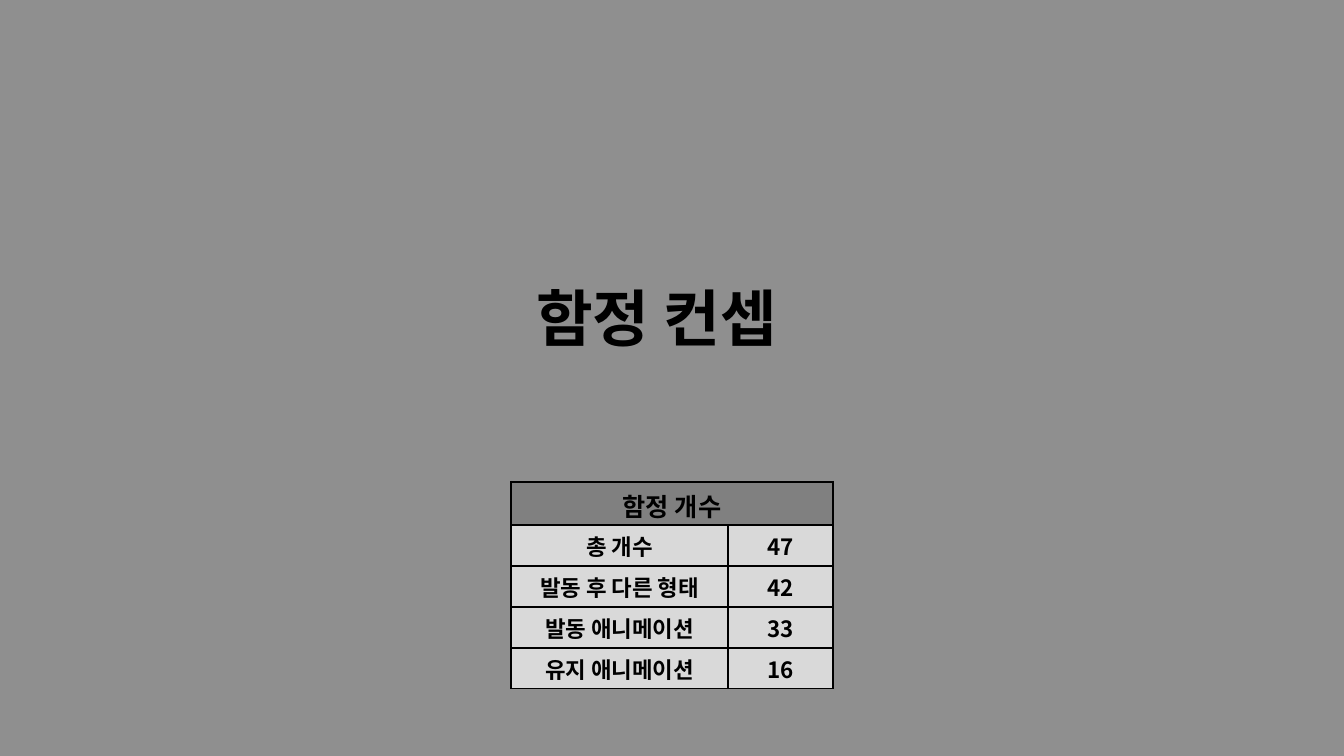
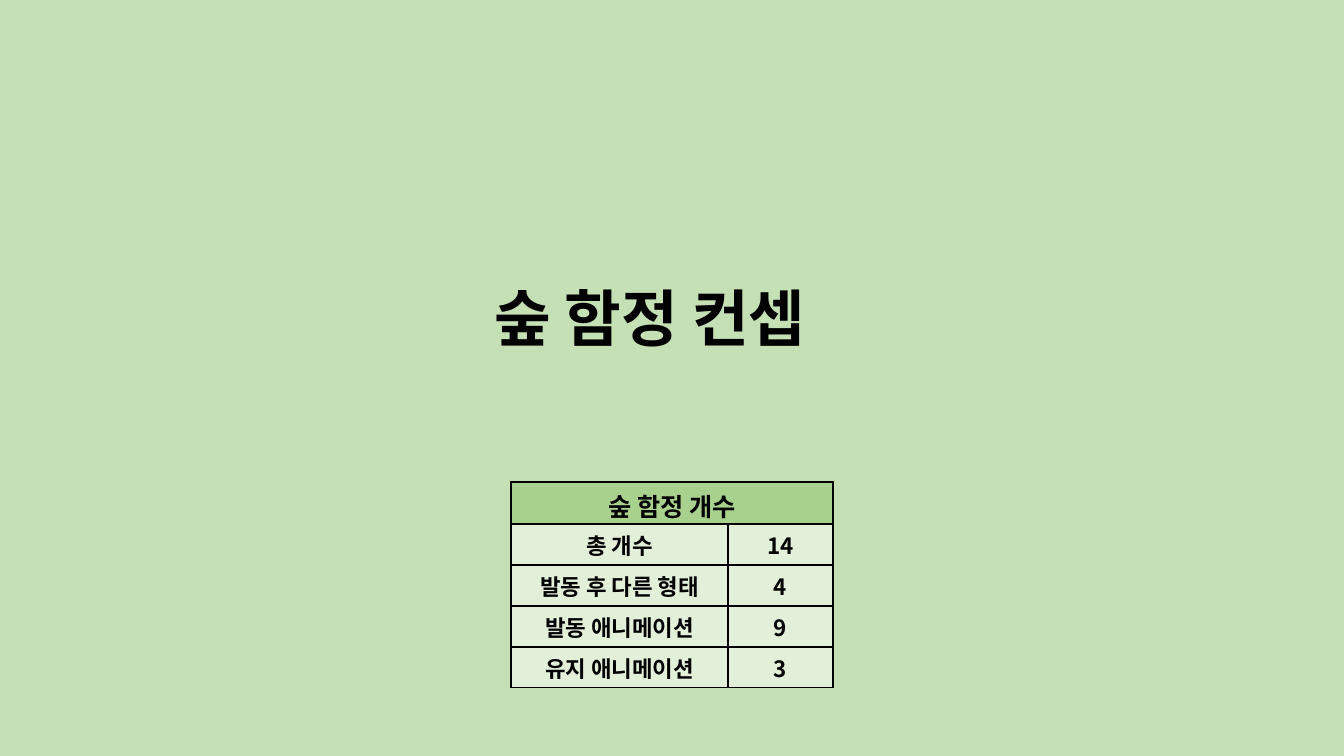
from dataclasses import dataclass

from lxml.etree import SubElement
from pptx import Presentation
from pptx.dml.color import RGBColor
from pptx.enum.text import PP_ALIGN
from pptx.oxml import parse_xml
from pptx.oxml.ns import nsdecls, qn
from pptx.util import Pt


@dataclass(frozen=True)
class Theme:
    font: str = "Noto Sans CJK KR"
    ink: str = "000000"
    big: int = 44
    head: int = 18
    body: int = 16
    line: float = 1.5
    # Background, header and body fills of each kind of slide
    gray: tuple = ("8F8F8F", "808080", "D9D9D9")
    green: tuple = ("C5E0B4", "A9D18E", "E2F0D9")


THEME = Theme()
WIDE, HIGH = 960, 540
LABELS = ("총 개수", "발동 후 다른 형태", "발동 애니메이션", "유지 애니메이션")


def write(frame, text, size=THEME.body, align=PP_ALIGN.LEFT, bold=True):
    """Put one formatted paragraph in a text frame."""
    para = frame.paragraphs[0]
    para.alignment = align
    run = para.add_run()
    run.text = text
    font = run.font
    font.size, font.bold, font.name = Pt(size), bold, THEME.font
    font.color.rgb = RGBColor.from_string(THEME.ink)
    # Hangul takes the East Asian face
    SubElement(run._r.get_or_add_rPr(), qn("a:ea")).set("typeface", THEME.font)


class Deck:
    def __init__(self):
        self.file = Presentation()
        self.file.slide_width, self.file.slide_height = Pt(WIDE), Pt(HIGH)
        self.slide = None

    def page(self, color):
        self.slide = self.file.slides.add_slide(self.file.slide_layouts[6])
        fill = self.slide.background.fill
        fill.solid()
        fill.fore_color.rgb = RGBColor.from_string(color)

    def title(self, text, width):
        box = self.slide.shapes.add_textbox(
            Pt((WIDE - width) / 2), Pt(196.6), Pt(width), Pt(60.5))
        box.text_frame.word_wrap = True
        write(box.text_frame, text, size=THEME.big)

    def cell(self, cell, text, color, size=THEME.body):
        cell.fill.solid()
        cell.fill.fore_color.rgb = RGBColor.from_string(color)
        # Borders come before the fill
        props = cell._tc.get_or_add_tcPr()
        for spot, side in enumerate("LRTB"):
            props.insert(spot, parse_xml(
                f'<a:ln{side} {nsdecls("a")} w="{Pt(THEME.line)}"><a:solidFill>'
                f'<a:srgbClr val="{THEME.ink}"/></a:solidFill></a:ln{side}>'))
        if text:
            write(cell.text_frame, text, size=size, align=PP_ALIGN.CENTER)

    def table(self, head, counts, colors, top_row):
        cols = (154.8, 74.9)
        rows = [top_row] + [29.2] * len(counts)
        grid = self.slide.shapes.add_table(
            len(rows), len(cols), Pt((WIDE - sum(cols)) / 2), Pt(344.2),
            Pt(sum(cols)), Pt(sum(rows))).table
        grid.first_row = grid.horz_banding = False
        for col, width in zip(grid.columns, cols):
            col.width = Pt(width)
        for row, height in zip(grid.rows, rows):
            row.height = Pt(height)

        # Header across both columns, then one row per count
        dark, light = colors
        grid.cell(0, 0).merge(grid.cell(0, 1))
        self.cell(grid.cell(0, 0), head, dark, size=THEME.head)
        self.cell(grid.cell(0, 1), "", dark)
        for row, pair in enumerate(zip(LABELS, counts), 1):
            for col, text in enumerate(pair):
                self.cell(grid.cell(row, col), str(text), light)


def main():
    deck = Deck()
    # Name, title width, header height, colours, counts
    pages = (
        ("함정", 208, 30.8, THEME.gray, (47, 42, 33, 16)),
        ("숲 함정", 268, 30.1, THEME.green, (14, 4, 9, 3)),
    )
    for name, width, top_row, (back, *fills), counts in pages:
        deck.page(back)
        deck.title(f"{name} 컨셉", width)
        deck.table(f"{name} 개수", counts, fills, top_row)
    deck.file.save("out.pptx")


if __name__ == "__main__":
    main()
